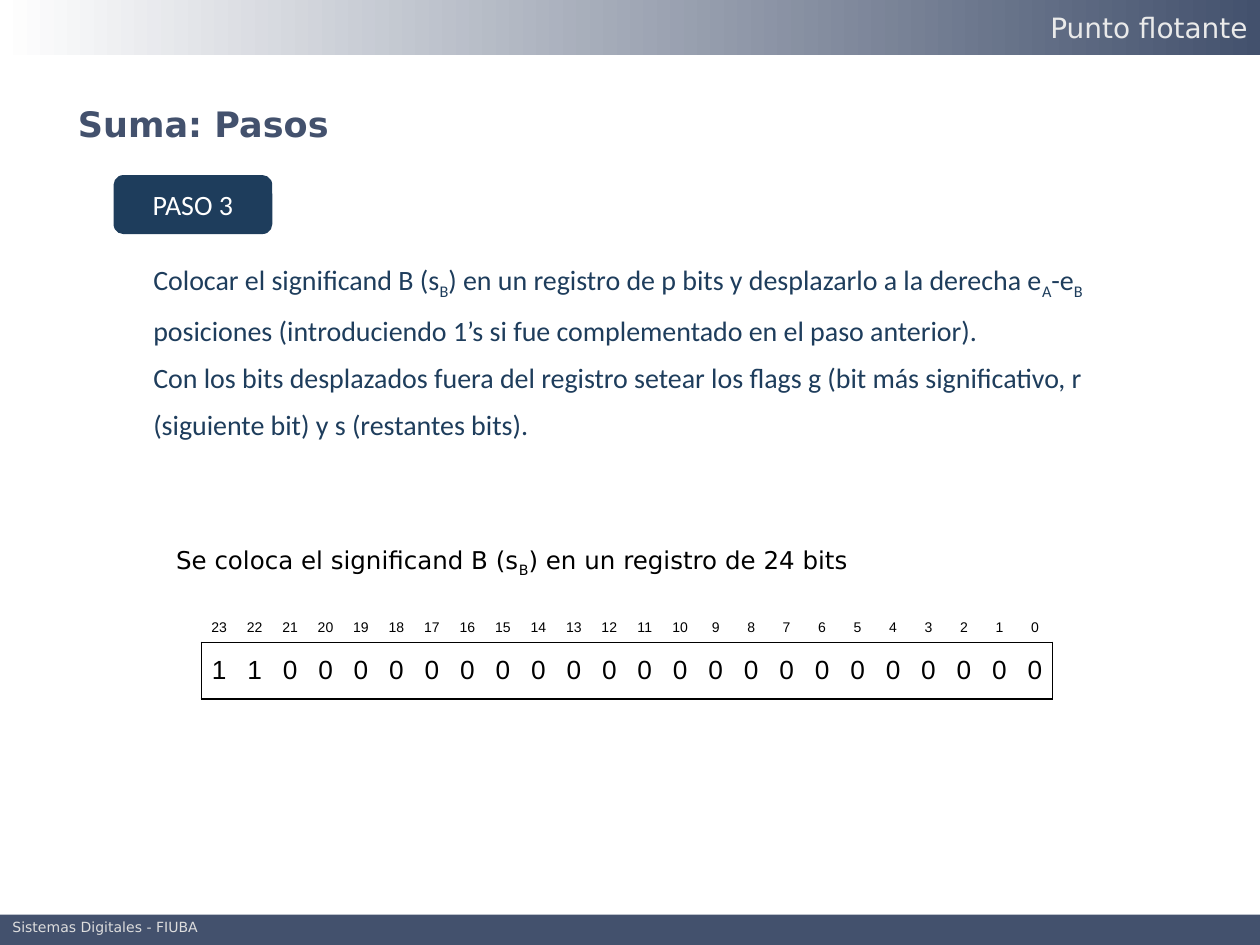
import dataclasses

import pptx
import pptx.dml.color
import pptx.enum.shapes
import pptx.enum.text
import pptx.oxml
import pptx.oxml.ns
import pptx.util

Cm = pptx.util.Cm
Pt = pptx.util.Pt
ALIGN = pptx.enum.text.PP_ALIGN
ANCHOR = pptx.enum.text.MSO_ANCHOR
AUTO_SIZE = pptx.enum.text.MSO_AUTO_SIZE
SHAPE = pptx.enum.shapes.MSO_SHAPE


@dataclasses.dataclass(frozen=True)
class Theme:
    slate: str = "43516D"
    navy: str = "1E3D5C"
    white: str = "FFFFFF"
    black: str = "000000"
    header_text: str = "EAEAEA"
    footer_text: str = "DDDDDD"
    wide_font: str = "DejaVu Sans"
    body_font: str = "Calibri"
    table_font: str = "Arial"
    title_size: float = 20
    body_size: float = 16
    caption_size: float = 14
    bit_size: float = 15
    small_size: float = 8
    border_width: float = 1.08


THEME = Theme()
BIT_COUNT = 24
REGISTER = "11".ljust(BIT_COUNT, "0")


def color(value):
    return pptx.dml.color.RGBColor.from_string(value)


def set_attributes(target, values):
    for name, value in values.items():
        setattr(target, name, value)


def lengths(box):
    return [Cm(value) for value in box]


def style(name, size, ink, bold=False):
    return {"name": name, "size": Pt(size), "bold": bold}, color(ink)


def write(paragraph, segments, font_style, **paragraph_format):
    """Write runs in turn; every second segment is a subscript."""
    values, ink = font_style
    set_attributes(paragraph, paragraph_format)
    for index, segment in enumerate(segments):
        run = paragraph.add_run()
        run.text = segment
        set_attributes(run.font, values)
        run.font.color.rgb = ink
        if index % 2:
            run.font._element.set("baseline", "-25000")


def prepare_frame(shape, **changes):
    values = {
        "word_wrap": True,
        "auto_size": AUTO_SIZE.SHAPE_TO_FIT_TEXT,
        "vertical_anchor": ANCHOR.TOP,
        "margin_left": Cm(0.25), "margin_right": Cm(0.25),
        "margin_top": Cm(0.13), "margin_bottom": Cm(0.13),
    }
    set_attributes(shape.text_frame, values | changes)
    return shape.text_frame


def add_text(shapes, box, segments, font_style, **paragraph_format):
    frame = prepare_frame(shapes.add_textbox(*lengths(box)))
    write(frame.paragraphs[0], segments, font_style, **paragraph_format)


def add_plain_shape(shapes, kind, box, fill=None):
    shape = shapes.add_shape(kind, *lengths(box))
    shape.shadow.inherit = False
    shape.line.fill.background()
    if fill:
        shape.fill.solid()
        shape.fill.fore_color.rgb = color(fill)
    return shape


def place(placeholder, box):
    set_attributes(placeholder, dict(zip(("left", "top", "width", "height"), lengths(box))))


def add_header(slide, box):
    left, top, width, height = box
    shapes = slide.shapes.add_group_shape().shapes
    band = add_plain_shape(shapes, SHAPE.RECTANGLE, box)
    band.fill.gradient()
    band.fill.gradient_angle = 0
    for stop, position, shade in zip(band.fill.gradient_stops, (0, 1), (THEME.white, THEME.slate)):
        stop.position = position
        stop.color.rgb = color(shade)
    add_text(shapes, (left + 0.2, top + 0.08, width - 0.2, height - 0.18), ["Punto flotante"],
             style(THEME.wide_font, THEME.body_size, THEME.header_text),
             alignment=ALIGN.RIGHT, space_before=Pt(10))


def add_footer(slide, box):
    left, top, width, height = box
    shapes = slide.shapes.add_group_shape().shapes
    add_plain_shape(shapes, SHAPE.RECTANGLE, box, THEME.slate)
    add_text(shapes, (left, top + 0.05, 7.29, height - 0.1), ["Sistemas Digitales - FIUBA"],
             style(THEME.wide_font, THEME.small_size, THEME.footer_text),
             line_spacing=0.7, space_before=Pt(5))


def fill_title(slide, box):
    title = slide.shapes.title
    place(title, box)
    write(prepare_frame(title).paragraphs[0], ["Suma: Pasos"],
          style(THEME.wide_font, THEME.title_size, THEME.slate, bold=True),
          alignment=ALIGN.LEFT, space_before=Pt(12.5))


def add_step_badge(slide, box):
    badge = add_plain_shape(slide.shapes, SHAPE.ROUNDED_RECTANGLE, box, THEME.navy)
    frame = prepare_frame(badge, word_wrap=False, auto_size=AUTO_SIZE.NONE,
                          vertical_anchor=ANCHOR.MIDDLE)
    write(frame.paragraphs[0], ["PASO 3"],
          style(THEME.body_font, THEME.body_size, THEME.white), alignment=ALIGN.CENTER)


def fill_instructions(slide, box):
    body = slide.placeholders[1]
    place(body, box)
    frame = prepare_frame(body)
    instructions = (
        ["Colocar el significand B (s", "B",
         ") en un registro de p bits y desplazarlo a la derecha e", "A", "-e", "B",
         " posiciones (introduciendo 1’s si fue complementado en el paso anterior)."],
        ["Con los bits desplazados fuera del registro setear los flags g "
         "(bit más significativo, r (siguiente bit) y s (restantes bits)."],
    )
    for index, segments in enumerate(instructions):
        paragraph = frame.add_paragraph() if index else frame.paragraphs[0]
        write(paragraph, segments, style(THEME.body_font, THEME.body_size, THEME.navy),
              line_spacing=1.4, space_before=Pt(0), alignment=ALIGN.LEFT)
        properties = paragraph._p.get_or_add_pPr()
        properties.set("marL", "0")
        properties.set("indent", "0")
        properties.append(pptx.oxml.parse_xml(f"<a:buNone {pptx.oxml.ns.nsdecls('a')}/>"))


def set_borders(cell, visible):
    """Draw the sides named in visible (L, R, T, B) and clear the others."""
    properties = cell._tc.get_or_add_tcPr()
    for side in "LRTB":
        paint = (f'<a:solidFill><a:srgbClr val="{THEME.black}"/></a:solidFill>'
                 if side in visible else "<a:noFill/>")
        properties.append(pptx.oxml.parse_xml(
            f'<a:ln{side} {pptx.oxml.ns.nsdecls("a")} w="{Pt(THEME.border_width)}">{paint}</a:ln{side}>'))


def add_register(slide, box):
    table = slide.shapes.add_table(2, BIT_COUNT, *lengths(box)).table
    set_attributes(table, {"first_row": False, "horz_banding": False})
    for row, height in zip(table.rows, (0.99, box[3] - 0.99)):
        row.height = Cm(height)
    for column in table.columns:
        column.width = Cm(box[2] / BIT_COUNT)
    rows = (
        ([str(bit) for bit in reversed(range(BIT_COUNT))], THEME.small_size, ANCHOR.BOTTOM, 2),
        (REGISTER, THEME.bit_size, ANCHOR.MIDDLE, 3.7),
    )
    for row, (texts, size, anchor, space) in enumerate(rows):
        for column, text in enumerate(texts):
            cell = table.cell(row, column)
            set_attributes(cell, {
                "vertical_anchor": anchor, "margin_left": Cm(0.05), "margin_right": Cm(0.05),
                "margin_top": Cm(0.13), "margin_bottom": Cm(0.13)})
            sides = "TB" if row else "B"
            if row and column == 0:
                sides += "L"
            if row and column == BIT_COUNT - 1:
                sides += "R"
            set_borders(cell, sides)
            cell.fill.background()
            write(cell.text_frame.paragraphs[0], [text],
                  style(THEME.table_font, size, THEME.black),
                  alignment=ALIGN.CENTER, space_before=Pt(space))


def main():
    presentation = pptx.Presentation()
    set_attributes(presentation, {"slide_width": Cm(25.4), "slide_height": Cm(19.05)})
    slide = presentation.slides.add_slide(presentation.slide_layouts[1])
    add_register(slide, (4.06, 11.96, 17.17, 2.13))
    fill_instructions(slide, (2.84, 4.85, 19.71, 4.19))
    add_text(slide.shapes, (3.3, 10.72, 18.82, 1.07),
             ["Se coloca el significand B (s", "B", ") en un registro de 24 bits"],
             style(THEME.wide_font, THEME.caption_size, THEME.black), line_spacing=1.2)
    add_header(slide, (0, 0, 25.4, 1.12))
    fill_title(slide, (1.32, 1.93, 13.41, 1.12))
    add_step_badge(slide, (2.29, 3.53, 3.2, 1.19))
    add_footer(slide, (0, 18.44, 25.4, 0.61))
    presentation.save("out.pptx")


if __name__ == "__main__":
    main()
